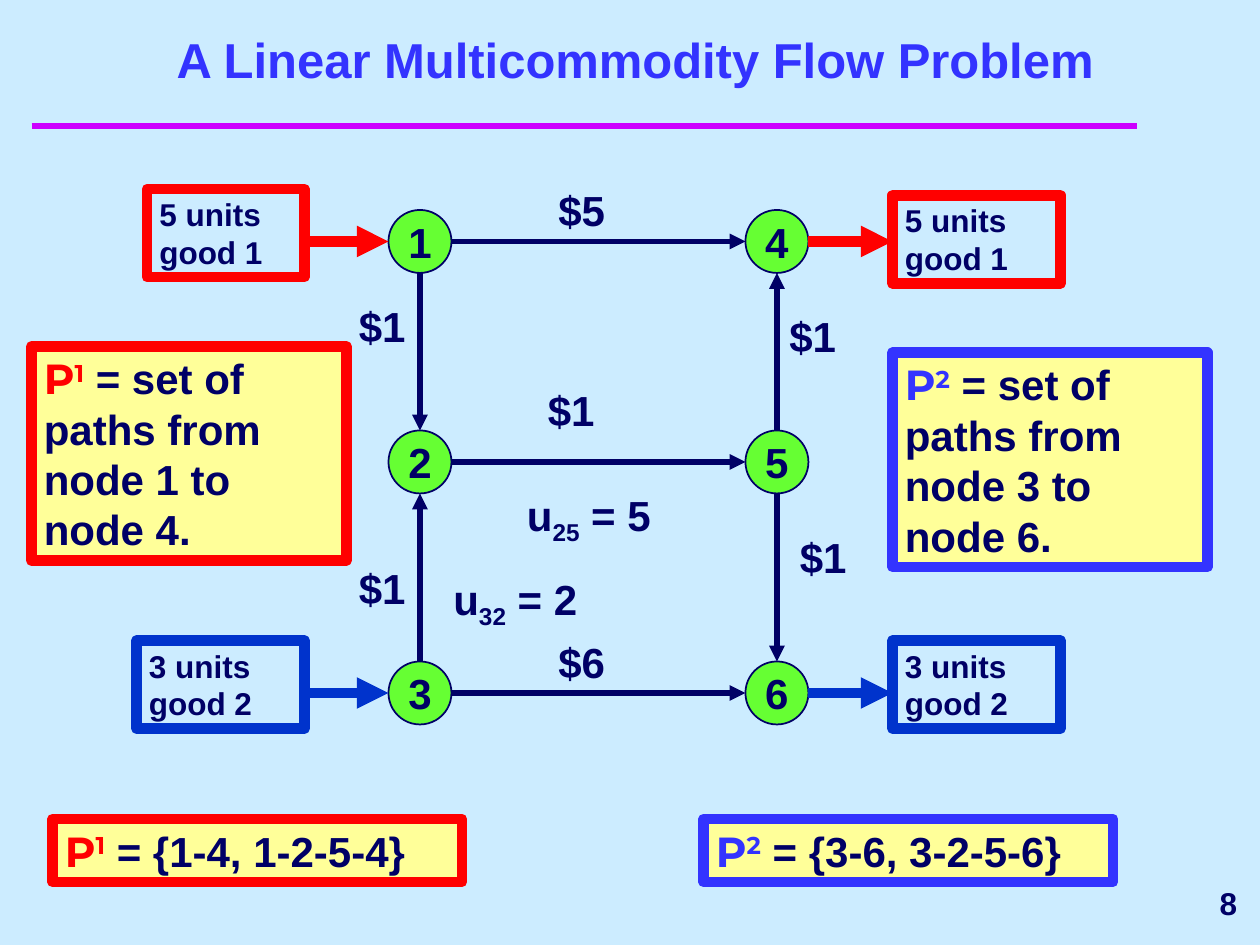
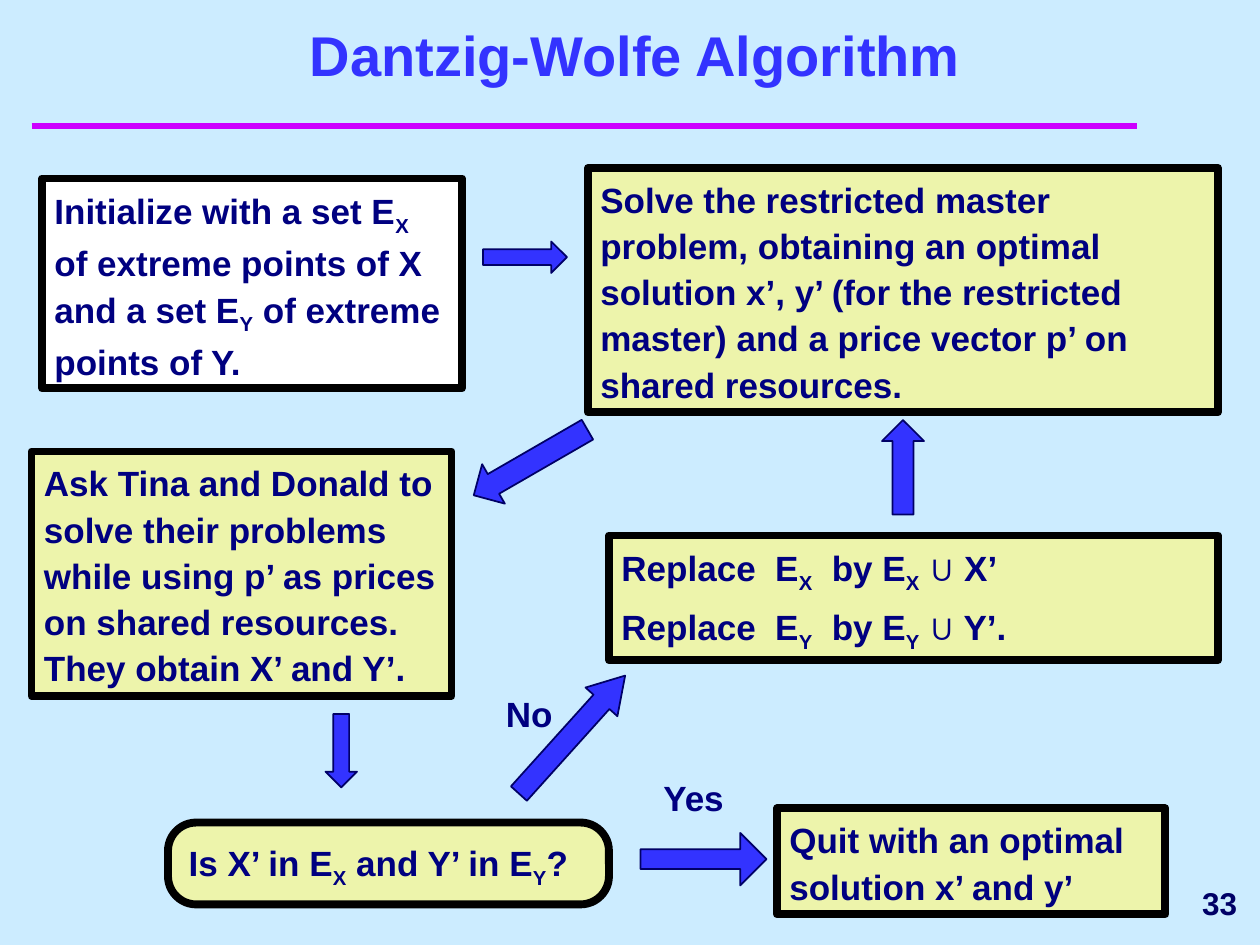
import pptx
import pptx.util
import pptx.dml.color
import pptx.enum.shapes
import pptx.enum.text
import pptx.oxml.ns
from lxml import etree

Pt = pptx.util.Pt
RGBColor = pptx.dml.color.RGBColor
SHAPE = pptx.enum.shapes.MSO_SHAPE
ANCHOR = pptx.enum.text.MSO_ANCHOR
ALIGN = pptx.enum.text.PP_ALIGN
AUTO = pptx.enum.text.MSO_AUTO_SIZE
qn = pptx.oxml.ns.qn

SKY = RGBColor(0xCC, 0xEC, 0xFF)
MAGENTA = RGBColor(0xCC, 0x00, 0xFF)
NAVY = RGBColor(0x00, 0x00, 0x66)
INK = RGBColor(0x00, 0x00, 0x80)
BLUE = RGBColor(0x33, 0x33, 0xFF)
GOOD_BLUE = RGBColor(0x00, 0x33, 0xCC)
RED = RGBColor(0xFF, 0x00, 0x00)
GREEN = RGBColor(0x66, 0xFF, 0x33)
YELLOW = RGBColor(0xFF, 0xFF, 0x99)
LIME = RGBColor(0xED, 0xF4, 0xAB)
WHITE = RGBColor(0xFF, 0xFF, 0xFF)
BLACK = RGBColor(0x00, 0x00, 0x00)

FLOW_TEXT = {"size": 24, "color": NAVY, "before": 15}
GOOD_TEXT = {"size": 18, "color": NAVY, "before": 11.2}
STEP_TEXT = {"size": 20, "color": INK, "before": 3.7, "spacing": 1.1}


def pts(*values):
    return [Pt(v) for v in values]


def sub(text):
    return text, -25


def add_run(p, text, size, color, baseline=0, font="Arial"):
    r = p.add_run()
    r.text = text
    r.font.name = font
    r.font.size = Pt(size)
    r.font.bold = True
    r.font.color.rgb = color
    if baseline:
        r._r.get_or_add_rPr().set("baseline", str(baseline * 1000))


def write(sp, paragraphs, size, color, before=0, spacing=None,
          align=ALIGN.LEFT, anchor=ANCHOR.TOP, wrap=True):
    tf = sp.text_frame
    tf.word_wrap = wrap
    tf.auto_size = AUTO.NONE
    tf.vertical_anchor = anchor
    for i, runs in enumerate(paragraphs):
        p = tf.add_paragraph() if i else tf.paragraphs[0]
        p.alignment = align
        p.space_before = Pt(before)
        if spacing:
            p.line_spacing = spacing
        for run in runs:
            text, baseline, run_color, font = (
                (run, 0, color, "Arial") if isinstance(run, str)
                else (*run, color, "Arial")[:4] if len(run) == 2 else run)
            add_run(p, text, size, run_color, baseline, font)


def add_block(s, kind, box, fill, line, weight):
    sp = s.shapes.add_shape(kind, *pts(*box))
    sp.shadow.inherit = False
    if fill is None:
        sp.fill.background()
    else:
        sp.fill.solid()
        sp.fill.fore_color.rgb = fill
    sp.line.color.rgb = line
    sp.line.width = Pt(weight)
    return sp


def add_label(s, box, runs, style):
    write(s.shapes.add_textbox(*pts(*box)), [runs], **style)


def add_line(s, start, end, color, weight, arrow=True):
    kind = pptx.enum.shapes.MSO_CONNECTOR.STRAIGHT
    cxn = s.shapes.add_connector(kind, *pts(*start, *end))
    cxn.line.color.rgb = color
    cxn.line.width = Pt(weight)
    if arrow:
        ln = cxn.element.spPr.find(qn("a:ln"))
        etree.SubElement(ln, qn("a:tailEnd"), type="triangle")
    etree.SubElement(cxn.element.spPr, qn("a:effectLst"))
    return cxn


def set_master(prs):
    fill = prs.slide_master.background.fill
    fill.solid()
    fill.fore_color.rgb = SKY


def add_slide(prs, title, title_size, number):
    s = prs.slides.add_slide(prs.slide_layouts[5])
    sp = s.shapes.title
    sp.left, sp.top, sp.width, sp.height = pts(30, 24, 666, 30)
    write(sp, [[title]], title_size, BLUE, align=ALIGN.CENTER, anchor=ANCHOR.BOTTOM)
    add_line(s, (18, 72), (650, 72), MAGENTA, 4, arrow=False)
    write(s.shapes.add_textbox(*pts(576, 498, 138, 36)), [[str(number)]], 18, NAVY,
          align=ALIGN.RIGHT, anchor=ANCHOR.MIDDLE)
    return s


def add_network(s, box):
    left, top, width, height = box
    d = 36
    rows = (0, 126, height - d)
    nodes = [(left + x, top + y) for x in (0, width - d) for y in rows]
    for i, (x, y) in enumerate(nodes, 1):
        sp = add_block(s, SHAPE.OVAL, (x, y, d, d), GREEN, NAVY, 1)
        write(sp, [[str(i)]], 24, NAVY, align=ALIGN.CENTER,
              anchor=ANCHOR.MIDDLE, wrap=False)

    for tail, head in ((1, 2), (3, 2), (2, 5), (1, 4), (5, 4), (5, 6), (3, 6)):
        (x1, y1), (x2, y2) = nodes[tail - 1], nodes[head - 1]
        dx = (x2 > x1) - (x2 < x1)
        dy = (y2 > y1) - (y2 < y1)
        r = d / 2
        add_line(s, (x1 + r + dx * r, y1 + r + dy * r),
                 (x2 + r - dx * r, y2 + r - dy * r), NAVY, 3)

    labels = [
        (90, -18, 48, ["$5"]),
        (84, 96, 84, ["$1"]),
        (90, 240, 48, ["$6"]),
        (-24, 198, 48, ["$1"]),
        (-24, 48, 48, ["$1"]),
        (222, 54, 48, ["$1"]),
        (228, 180, 48, ["$1"]),
        (72, 156, 138, ["u", sub("25"), " = 5"]),
        (30, 204, 138, ["u", sub("32"), " = 2"]),
    ]
    for x, y, w, runs in labels:
        add_label(s, (left + x, top + y, w, 36), runs, FLOW_TEXT)


def add_good(s, box, text, color, arrow_y, supply):
    x, y, w, h = box
    start = x + w if supply else x - 48
    add_line(s, (start, arrow_y), (start + 48, arrow_y), color, 6)
    write(add_block(s, SHAPE.RECTANGLE, box, None, color, 6), [[text]], **GOOD_TEXT)


def add_path_set(s, box, good, text, color):
    sp = add_block(s, SHAPE.RECTANGLE, box, YELLOW, color, 6)
    runs = [("P", 0, color, "Montserrat"), (good, 30, color, "Montserrat"), text]
    write(sp, [runs], **FLOW_TEXT)


def flow_slide(prs):
    s = add_slide(prs, "A Linear Multicommodity Flow Problem", 28, 8)
    add_network(s, (222, 120, 240, 294))
    add_good(s, (84, 108, 90, 50.4), "5 units good 1", RED, 138, True)
    add_good(s, (510, 111.6, 96, 50.4), "5 units good 1", RED, 138, False)
    add_good(s, (78, 366, 96, 50.4), "3 units good 2", GOOD_BLUE, 396, True)
    add_good(s, (510, 366, 96, 50.4), "3 units good 2", GOOD_BLUE, 396, False)
    add_path_set(s, (18, 198, 180, 122.4), "1",
                 " = set of paths from node 1 to node 4.", RED)
    add_path_set(s, (510, 201.6, 180, 122.4), "2",
                 " = set of paths from node 3 to node 6.", BLUE)
    add_path_set(s, (30, 468, 234, 36), "1", " = {1-4, 1-2-5-4}", RED)
    add_path_set(s, (402, 468, 234, 36), "2", " = {3-6, 3-2-5-6}", BLUE)


def add_step(s, box, paragraphs, fill=LIME, kind=SHAPE.RECTANGLE):
    sp = add_block(s, kind, box, fill, BLACK, 4.5)
    write(sp, paragraphs, **STEP_TEXT)
    return sp


def add_block_arrow(s, kind, box, rotation=0, shaft=0.5, head=0.5):
    sp = add_block(s, kind, box, BLUE, NAVY, 1)
    sp.adjustments[0] = shaft
    sp.adjustments[1] = head
    sp.rotation = rotation


def algorithm_slide(prs):
    s = add_slide(prs, "Dantzig-Wolfe Algorithm", 32, 33)
    add_step(s, (24, 102, 240, 120),
             [["Initialize with a set E", sub("X"), " of extreme points of X and a set E",
               sub("Y"), " of extreme points of Y."]], WHITE)
    add_step(s, (336, 96, 360, 139.7),
             [["Solve the restricted master problem, obtaining an optimal solution "
               "x’, y’ (for the restricted master) and a price vector p’ on "
               "shared resources."]])
    add_step(s, (18, 258, 240, 139.7),
             [["Ask Tina and Donald to solve their problems while using p’ as prices "
               "on shared resources. They obtain X’ and Y’."]])
    add_step(s, (348, 306, 348, 71.3),
             [["Replace  E", sub(v), "  by E", sub(v), f" ∪ {v}’{end}"]
              for v, end in (("X", ""), ("Y", "."))])
    test = add_step(s, (96, 470, 252, 46.8),
                    [["Is X’ in E", sub("X"), " and Y’ in E", sub("Y"), "?"]],
                    kind=SHAPE.ROUNDED_RECTANGLE)
    test.adjustments[0] = 0.346
    add_step(s, (444, 462, 222, 60.5), [["Quit with an optimal solution x’ and y’"]])
    add_label(s, (372, 438, 66, 34), ["Yes"], STEP_TEXT)
    add_label(s, (282, 390, 66, 34), ["No"], STEP_TEXT)

    add_block_arrow(s, SHAPE.RIGHT_ARROW, (276, 138, 48, 18))
    add_block_arrow(s, SHAPE.DOWN_ARROW, (290.2, 226.8, 26, 75), rotation=60)
    add_block_arrow(s, SHAPE.UP_ARROW, (504, 240, 24, 54))
    add_block_arrow(s, SHAPE.DOWN_ARROW, (186, 408, 18, 42))
    add_block_arrow(s, SHAPE.DOWN_ARROW, (314.6, 374.4, 24.5, 90.7),
                    rotation=222, head=0.825)
    add_block_arrow(s, SHAPE.RIGHT_ARROW, (366, 476, 72, 30), shaft=0.373)


def main():
    prs = pptx.Presentation()
    prs.slide_width, prs.slide_height = pts(720, 540)
    set_master(prs)
    flow_slide(prs)
    algorithm_slide(prs)
    prs.save("out.pptx")


if __name__ == "__main__":
    main()
